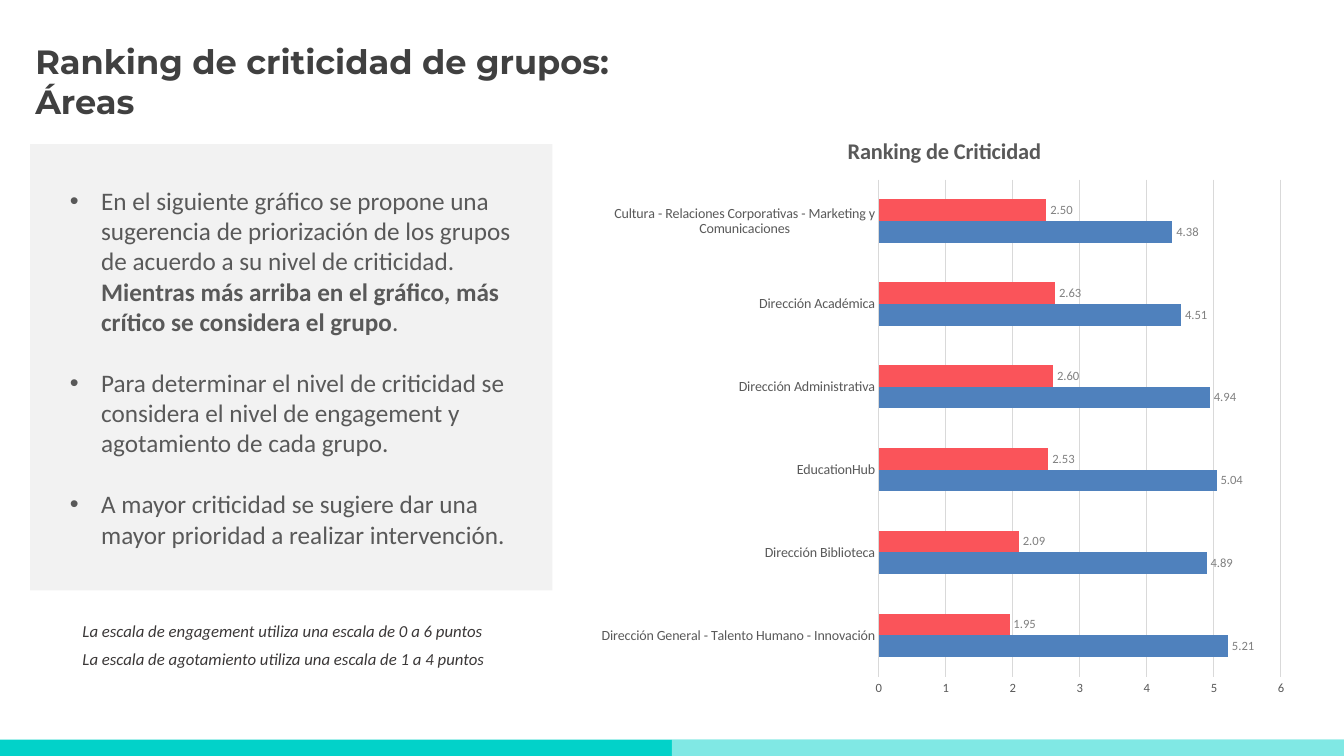
from typing import NamedTuple

from lxml.etree import SubElement
from pptx import Presentation
from pptx.chart.data import CategoryChartData
from pptx.dml.color import RGBColor
from pptx.enum.chart import XL_CHART_TYPE as Kind, XL_LABEL_POSITION as Spot, XL_TICK_MARK as Tick
from pptx.enum.shapes import MSO_SHAPE as Form
from pptx.enum.text import MSO_ANCHOR as Anchor, PP_ALIGN as Align
from pptx.oxml import parse_xml
from pptx.oxml.ns import nsdecls, qn
from pptx.util import Cm, Pt


class Box(NamedTuple):
    left: float
    top: float
    width: float
    height: float

    def cm(self) -> list:
        return [Cm(side) for side in self]


class Look(NamedTuple):
    size: float
    color: str
    bold: bool = False
    italic: bool = False
    name: str = "Calibri"


class Label(NamedTuple):
    box: Box
    lines: list
    look: Look
    wrap: bool


class Block(NamedTuple):
    box: Box
    color: str
    alpha: int = 100


class Group(NamedTuple):
    name: str
    color: str
    values: list


GRAY = "595959"
RULE = "D9D9D9"
NOTE = Look(12, "3B3838", italic=True)

BANDS = [
    Block(Box(0, 18.64, 33.87, 0.41), "02D2C9"),
    Block(Box(16.93, 18.64, 16.94, 0.41), "FFFFFF", 50),
]
PANEL = Block(Box(0.76, 3.63, 13.16, 11.25), "F2F2F2")
LABELS = [
    Label(Box(0.64, 0.91, 27.43, 2.31), ["Ranking de criticidad de grupos:", "Áreas"],
          Look(24, "404040", bold=True, name="Montserrat"), True),
    Label(Box(1.83, 15.52, 10.7, 0.76),
          ["La escala de engagement utiliza una escala de 0 a 6 puntos"], NOTE, False),
    Label(Box(1.83, 16.23, 10.7, 0.76),
          ["La escala de agotamiento utiliza una escala de 1 a 4 puntos"], NOTE, False),
]
POINTS = [
    [("En el siguiente gráfico se propone una sugerencia de priorización de los grupos "
      "de acuerdo a su nivel de criticidad. ", False),
     ("Mientras más arriba en el gráfico, más crítico se considera el grupo", True),
     (".", False)],
    [("Para determinar el nivel de criticidad se considera el nivel de engagement y "
      "agotamiento de cada grupo.", False)],
    [("A mayor criticidad se sugiere dar una mayor prioridad a realizar intervención.", False)],
]
AREAS = [
    "Dirección General - Talento Humano - Innovación",
    "Dirección Biblioteca",
    "EducationHub",
    "Dirección Administrativa",
    "Dirección Académica",
    "Cultura - Relaciones Corporativas - Marketing y Comunicaciones",
]
GROUPS = [
    Group("Engagement", "4F81BD", [5.21, 4.89, 5.04, 4.94, 4.51, 4.38]),
    Group("Agotamiento", "FA545A", [1.95, 2.09, 2.53, 2.60, 2.63, 2.50]),
]


def rgb(color: str) -> RGBColor:
    return RGBColor.from_string(color)


def style(font, look: Look) -> None:
    font.size = Pt(look.size)
    font.name = look.name
    font.bold = look.bold
    font.italic = look.italic
    font.color.rgb = rgb(look.color)


def add_block(slide, block: Block):
    shape = slide.shapes.add_shape(Form.RECTANGLE, *block.box.cm())
    shape.shadow.inherit = False
    shape.fill.solid()
    shape.fill.fore_color.rgb = rgb(block.color)
    shape.line.fill.background()
    if block.alpha < 100:
        tint = shape.fill._xPr.find(".//" + qn("a:srgbClr"))
        SubElement(tint, qn("a:alpha"), val=str(block.alpha * 1000))
    return shape


def add_label(slide, label: Label) -> None:
    frame = slide.shapes.add_textbox(*label.box.cm()).text_frame
    frame.word_wrap = label.wrap
    frame.text = "\n".join(label.lines)
    for para in frame.paragraphs:
        style(para.font, label.look)


def add_points(slide) -> None:
    frame = add_block(slide, PANEL).text_frame
    frame.word_wrap = True
    frame.vertical_anchor = Anchor.MIDDLE
    frame.margin_left = frame.margin_right = Cm(1)
    frame.margin_top = frame.margin_bottom = Cm(1)
    for rank, point in enumerate(POINTS):
        para = frame.add_paragraph() if rank else frame.paragraphs[0]
        para.alignment = Align.LEFT
        if rank:
            para.space_before = Pt(22)
        props = para._p.get_or_add_pPr()
        props.set("marL", str(Cm(0.79)))
        props.set("indent", str(-Cm(0.79)))
        SubElement(props, qn("a:buFont"), typeface="Arial")
        SubElement(props, qn("a:buChar"), char="•")
        style(para.font, Look(18, GRAY))
        for text, bold in point:
            run = para.add_run()
            run.text = text
            run.font.bold = bold


def place(node, index: int, **sides: float) -> None:
    for old in node.findall(qn("c:layout")):
        node.remove(old)
    layout = parse_xml(f"<c:layout {nsdecls('c')}/>")
    manual = SubElement(layout, qn("c:manualLayout"))
    if "w" in sides:
        SubElement(manual, qn("c:layoutTarget"), val="inner")
    for mode in ("xMode", "yMode"):
        SubElement(manual, qn("c:" + mode), val="edge")
    for side, share in sides.items():
        SubElement(manual, qn("c:" + side), val=str(share))
    node.insert(index, layout)


def add_bars(slide) -> None:
    data = CategoryChartData(number_format="0.00")
    data.categories = AREAS
    for group in GROUPS:
        data.add_series(group.name, group.values)
    box = Box(14.86, 2.72, 17.78, 15.09)
    chart = slide.shapes.add_chart(Kind.BAR_CLUSTERED, *box.cm(), data).chart
    style(chart.font, Look(10, GRAY))
    chart.has_legend = False
    chart.has_title = True
    title = chart.chart_title
    title.text_frame.text = "Ranking de Criticidad"
    style(title.text_frame.paragraphs[0].font, Look(16, GRAY, bold=True))
    place(title.element, 1, x=0.36, y=0.04)
    place(title.element.getparent().find(qn("c:plotArea")), 0, x=0.41, y=0.12, w=0.57, h=0.83)

    names, scale = chart.category_axis, chart.value_axis
    for axis, size in ((names, 10), (scale, 9)):
        axis.major_tick_mark = axis.minor_tick_mark = Tick.NONE
        style(axis.tick_labels.font, Look(size, GRAY))
    scale.minimum_scale, scale.maximum_scale, scale.major_unit = 0, 6, 1
    scale.tick_labels.number_format = "0"
    scale.tick_labels.number_format_is_linked = False
    scale.format.line.fill.background()
    for line in (names.format.line, scale.major_gridlines.format.line):
        line.color.rgb = rgb(RULE)
        line.width = Pt(0.75)

    plot = chart.plots[0]
    plot.gap_width = 182
    plot.overlap = 0
    plot.vary_by_categories = False
    for group, bars in zip(GROUPS, plot.series):
        bars.format.fill.solid()
        bars.format.fill.fore_color.rgb = rgb(group.color)
        tags = bars.data_labels
        tags.show_value = True
        tags.number_format = "0.00"
        tags.number_format_is_linked = False
        tags.position = Spot.OUTSIDE_END
        style(tags.font, Look(9, "808080"))


def main() -> None:
    deck = Presentation()
    deck.slide_width, deck.slide_height = Cm(33.87), Cm(19.05)
    slide = deck.slides.add_slide(deck.slide_layouts[6])
    for band in BANDS:
        add_block(slide, band)
    for label in LABELS:
        add_label(slide, label)
    add_points(slide)
    add_bars(slide)
    deck.save("out.pptx")


if __name__ == "__main__":
    main()
